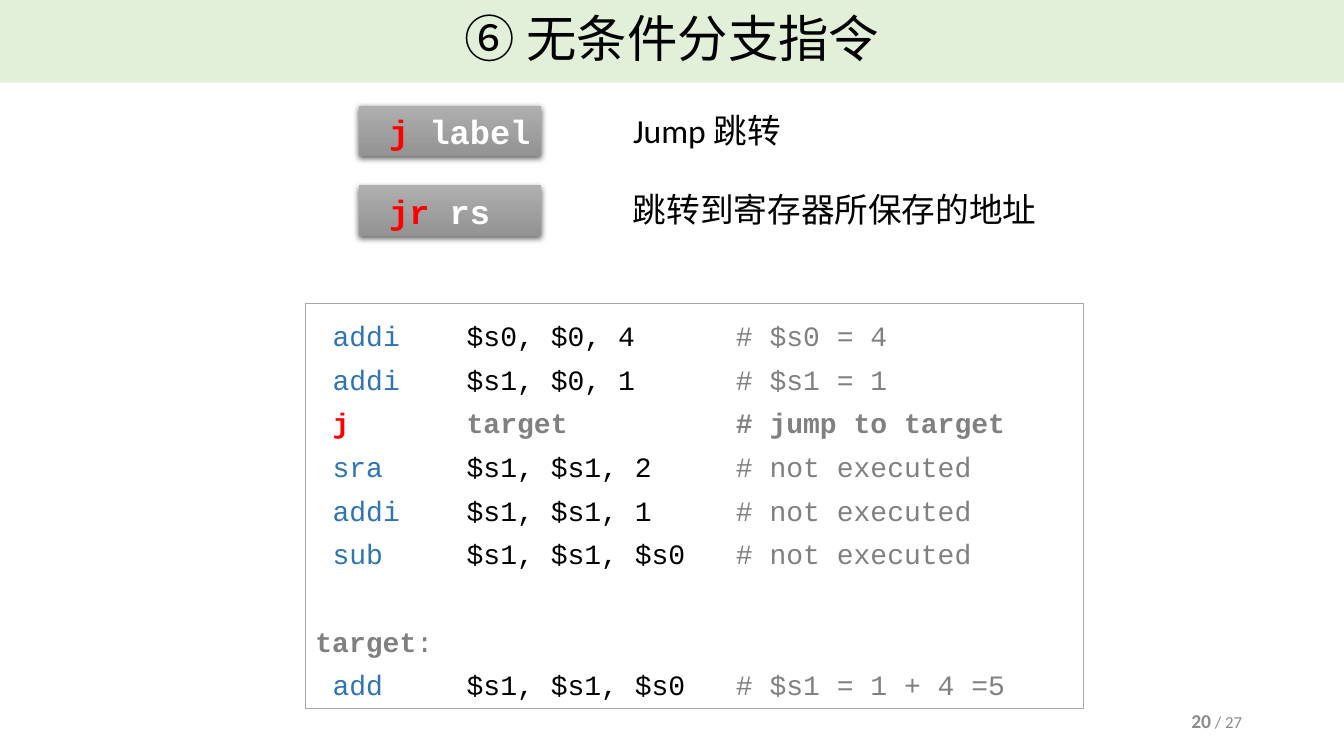
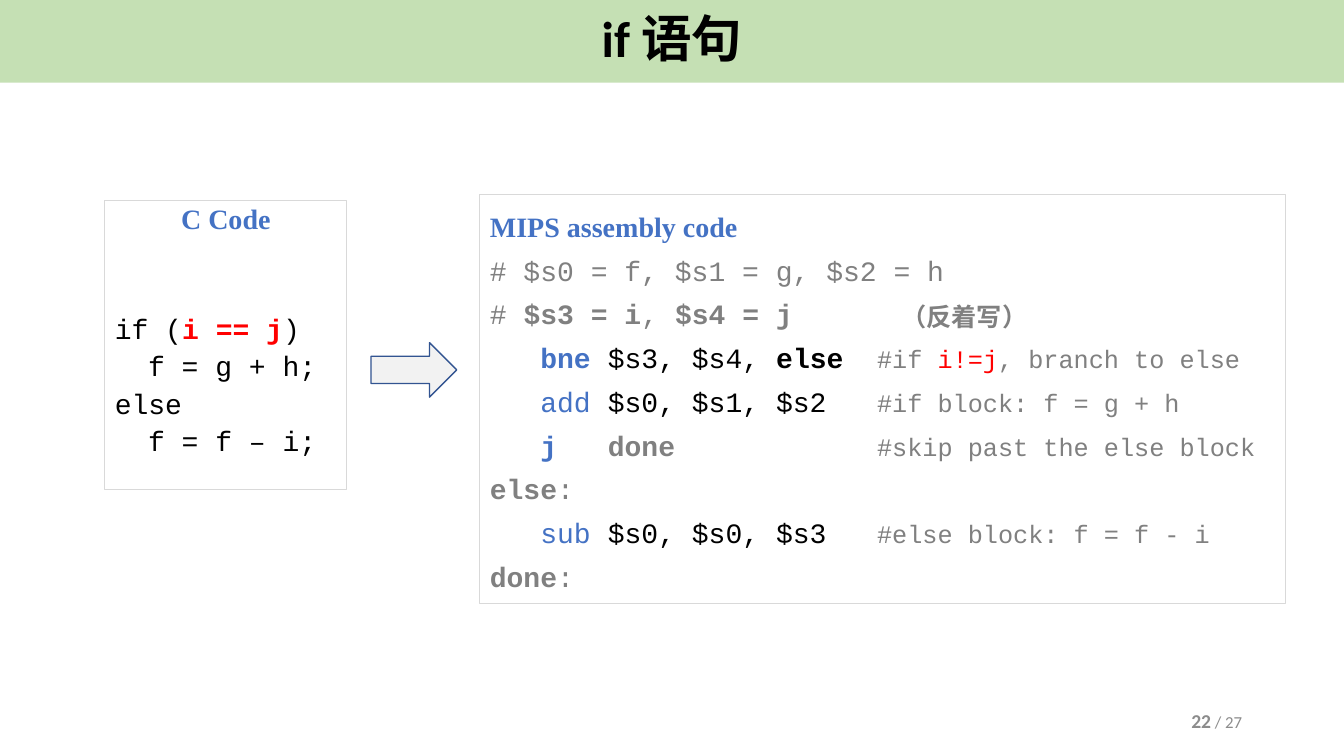
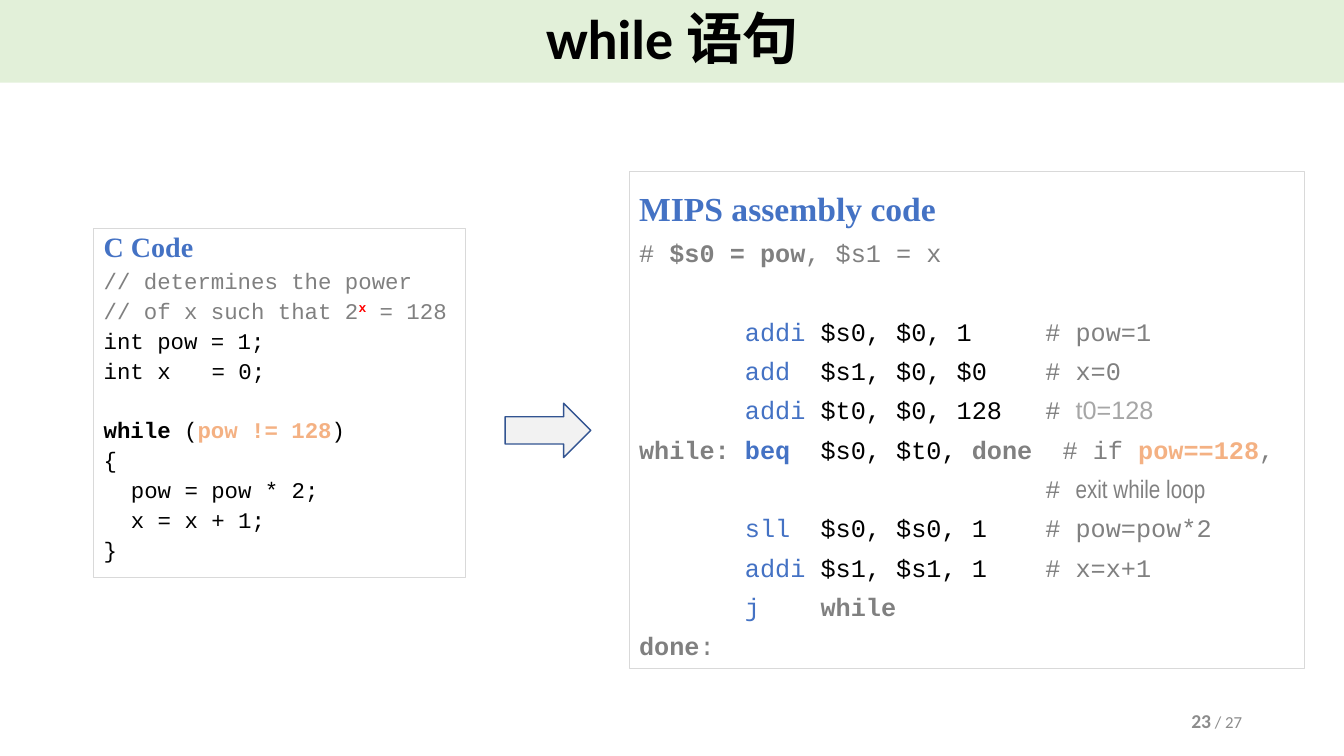
import dataclasses

import pptx
import pptx.dml.color
import pptx.enum.shapes
import pptx.enum.text
import pptx.oxml
import pptx.oxml.ns
import pptx.util
from pptx.util import Inches, Pt

RGBColor = pptx.dml.color.RGBColor
Align = pptx.enum.text.PP_ALIGN
Anchor = pptx.enum.text.MSO_ANCHOR
Shape = pptx.enum.shapes.MSO_SHAPE

BLACK = RGBColor(0, 0, 0)
WHITE = RGBColor(255, 255, 255)
RED = RGBColor(255, 0, 0)
BLUE = RGBColor(0x44, 0x72, 0xC4)
DEEP_BLUE = RGBColor(0x2E, 0x75, 0xB6)
ORANGE = RGBColor(0xF4, 0xB1, 0x83)
GRAY = RGBColor(0x80, 0x80, 0x80)
SILVER = RGBColor(0xA6, 0xA6, 0xA6)
FOOTER_GRAY = RGBColor(0x8C, 0x8C, 0x8C)
FRAME_GRAY = RGBColor(0xD9, 0xD9, 0xD9)
PALE_GREEN = RGBColor(0xE2, 0xF0, 0xD9)
GREEN = RGBColor(0xC5, 0xE0, 0xB4)
ARROW_FILL = RGBColor(0xF2, 0xF2, 0xF2)
ARROW_LINE = RGBColor(0x32, 0x54, 0x91)
BUTTON_TOP = RGBColor(0xAF, 0xAF, 0xAF)
BUTTON_BOTTOM = RGBColor(0x93, 0x93, 0x93)

SANS, MONO, SERIF = "Calibri", "Courier New", "Times New Roman"
PAGE_COUNT = 27


@dataclasses.dataclass(frozen=True)
class Ink:
    """Look of a span; without a size it takes that of its box."""
    color: RGBColor
    bold: bool = False
    size: float = 0
    font: str = MONO
    raised: bool = False


CODE, CODE_BOLD = Ink(BLACK), Ink(BLACK, True)
NOTE, LABEL = Ink(GRAY), Ink(GRAY, True)
SMALL_NOTE = Ink(GRAY, size=18)
OP, OP_BOLD, DEEP_OP = Ink(BLUE), Ink(BLUE, True), Ink(DEEP_BLUE)
HOT, WARM = Ink(RED, True), Ink(ORANGE, True)
HEADING, BIG_HEADING = Ink(BLUE, True, 20, SERIF), Ink(BLUE, True, 24, SERIF)


def add_spans(para, spans, size):
    for text, ink in spans:
        span = para.add_run()
        span.text = text
        span.font.name = ink.font
        span.font.size = Pt(ink.size or size)
        span.font.bold = ink.bold
        span.font.color.rgb = ink.color
        if ink.raised:
            span.font._element.set("baseline", "30000")


def set_tabs(para, stops):
    tabs = pptx.oxml.parse_xml(f"<a:tabLst {pptx.oxml.ns.nsdecls('a')}/>")
    for stop in stops:
        tab = tabs.makeelement(pptx.oxml.ns.qn("a:tab"),
                               {"pos": str(Inches(stop)), "algn": "l"})
        tabs.append(tab)
    para._p.get_or_add_pPr().append(tabs)


def add_text(page, frame, spans, size, align=Align.LEFT, anchor=Anchor.TOP):
    box = page.shapes.add_textbox(*map(Inches, frame))
    box.text_frame.word_wrap = True
    box.text_frame.vertical_anchor = anchor
    para = box.text_frame.paragraphs[0]
    para.alignment = align
    add_spans(para, spans, size)


def add_page(deck, title, number, band, size=36, bold=True):
    page = deck.slides.add_slide(deck.slide_layouts[5])
    box = page.shapes.title
    box.left, box.top = 0, 0
    box.width, box.height = deck.slide_width, Inches(0.82)
    box.fill.solid()
    box.fill.fore_color.rgb = band
    box.text_frame.auto_size = pptx.enum.text.MSO_AUTO_SIZE.NONE
    box.text_frame.vertical_anchor = Anchor.MIDDLE
    para = box.text_frame.paragraphs[0]
    para.alignment = Align.CENTER
    para.line_spacing = 0.9
    add_spans(para, [(title, Ink(BLACK, bold, size, SANS))], size)
    add_text(page, (9.42, 6.95, 3, 0.4),
             [(str(number), Ink(FOOTER_GRAY, True, 14, SANS)),
              (f" / {PAGE_COUNT}", Ink(FOOTER_GRAY, False, 12, SANS))],
             12, Align.RIGHT, Anchor.MIDDLE)
    return page


def add_code(page, frame, lines, size, tabs, spacing=1.3, before=0, gaps=None,
             edge=FRAME_GRAY):
    """Framed listing; gaps maps a line's index to extra points above it."""
    box = page.shapes.add_textbox(*map(Inches, frame))
    box.line.color.rgb = edge
    box.line.width = Pt(0.75)
    text = box.text_frame
    text.word_wrap = True
    for index, spans in enumerate(lines):
        para = text.add_paragraph() if index else text.paragraphs[0]
        para.line_spacing = spacing
        para.space_before = Pt(before + (gaps or {}).get(index, 0))
        set_tabs(para, tabs)
        add_spans(para, spans, size)
    return box


def add_arrow(page, left, top):
    arrow = page.shapes.add_shape(Shape.RIGHT_ARROW, Inches(left), Inches(top),
                                  Inches(0.85), Inches(0.54))
    arrow.shadow.inherit = False
    arrow.fill.solid()
    arrow.fill.fore_color.rgb = ARROW_FILL
    arrow.line.color.rgb = ARROW_LINE
    arrow.line.width = Pt(1)


def add_button(page, left, top, op, operand):
    button = page.shapes.add_shape(Shape.RECTANGLE, Inches(left), Inches(top),
                                   Inches(1.81), Inches(0.5))
    button.line.fill.background()
    button.fill.gradient()
    button.fill.gradient_angle = 270
    for stop, color in zip(button.fill.gradient_stops, (BUTTON_TOP, BUTTON_BOTTOM)):
        stop.color.rgb = color
    button._element.spPr.append(pptx.oxml.parse_xml(
        f"<a:effectLst {pptx.oxml.ns.nsdecls('a')}>"
        '<a:outerShdw blurRad="57150" dist="19050" dir="5400000" rotWithShape="0">'
        '<a:srgbClr val="000000"><a:alpha val="63000"/></a:srgbClr>'
        "</a:outerShdw></a:effectLst>"))
    text = button.text_frame
    text.margin_left, text.margin_right = Inches(0.3), 0
    text.vertical_anchor = Anchor.TOP
    para = text.paragraphs[0]
    para.alignment = Align.LEFT
    add_spans(para, [(op, HOT), (" " + operand, Ink(WHITE, True))], 24)


def instruction(op, operands, note, op_ink=OP, note_ink=NOTE):
    return [("\t" + op, op_ink), ("\t" + operands, CODE), ("\t" + note, note_ink)]


def build_jump_page(deck):
    page = add_page(deck, "⑥ 无条件分支指令", 20, PALE_GREEN, bold=False)
    forms = [("j", "label", "Jump 跳转", 1.68),
             ("jr", "rs", "跳转到寄存器所保存的地址", 4.24)]
    for row, (op, operand, meaning, width) in enumerate(forms):
        top = 1.05 + 0.79 * row
        add_button(page, 3.56, top, op, operand)
        add_text(page, (6.18, top - 0.01, width, 0.5),
                 [(meaning, Ink(BLACK, font=SANS))], 24)
    lines = [instruction(*parts, op_ink=DEEP_OP) for parts in (
        ("addi", "$s0, $0, 4", "# $s0 = 4"),
        ("addi", "$s1, $0, 1", "# $s1 = 1"),
        ("sra", "$s1, $s1, 2", "# not executed"),
        ("addi", "$s1, $s1, 1", "# not executed"),
        ("sub", "$s1, $s1, $s0", "# not executed"),
        ("add", "$s1, $s1, $s0", "# $s1 = 1 + 4 =5"))]
    lines.insert(2, [("\tj", HOT), ("\ttarget\t# jump to target", LABEL)])
    lines.insert(6, [("target", LABEL), (":", NOTE)])
    add_code(page, (3.03, 3.01, 7.72, 4.02), lines, 20, (0.17, 1.5, 4.17),
             gaps={6: 31.2}, edge=SILVER)


def build_if_page(deck):
    page = add_page(deck, "if 语句", 22, GREEN)
    source = add_code(page, (1.04, 1.99, 2.4, 2.87), [
        [("C Code", HEADING)],
        [("if (", CODE), ("i == j", HOT), (")", CODE)],
        [("\tf = g + h;", CODE)],
        [("else", CODE)],
        [("\tf = f – i;", CODE)],
    ], 20, (0.33,), spacing=0.9, before=5.2, gaps={1: 51.4})
    source.text_frame.paragraphs[0].alignment = Align.CENTER
    add_code(page, (4.76, 1.93, 7.99, 4.06), [
        [("MIPS assembly code", HEADING)],
        [("# $s0 = f, $s1 = g, $s2 = h", NOTE)],
        [("# ", NOTE), ("$s3 = i", LABEL), (", ", NOTE), ("$s4 = j", LABEL)],
        [("\tbne", OP_BOLD), ("\t$s3, $s4, ", CODE), ("else", CODE_BOLD),
         ("\t#if ", SMALL_NOTE), ("i!=j", Ink(RED, size=18)),
         (", branch to else", SMALL_NOTE)],
        instruction("add", "$s0, $s1, $s2", "#if block: f = g + h",
                    note_ink=SMALL_NOTE),
        [("\tj", OP_BOLD), ("\tdone", LABEL),
         ("\t#skip past the else block", SMALL_NOTE)],
        [("else", LABEL), (":", NOTE)],
        instruction("sub", "$s0, $s0, $s3", "#else block: f = f - i",
                    note_ink=SMALL_NOTE),
        [("done", LABEL), (":", NOTE)],
    ], 20, (0.5, 1.17, 3.84))
    add_text(page, (8.84, 2.94, 1.6, 0.4),
             [("（反着写）", Ink(GRAY, True, font=SANS))], 18)
    add_arrow(page, 3.68, 3.4)


def build_while_page(deck):
    page = add_page(deck, "while 语句", 23, PALE_GREEN, size=40)
    add_code(page, (0.93, 2.27, 3.69, 3.46), [
        [("C Code", HEADING)],
        [("// determines the power", NOTE)],
        [("// of x such that 2", NOTE), ("x", Ink(RED, True, raised=True)),
         (" = 128", NOTE)],
        [("int pow = 1;", CODE)],
        [("int x\t= 0;", CODE)],
        [("while", CODE_BOLD), (" (", CODE), ("pow != 128", WARM), (")", CODE)],
        [("{", CODE)],
        [("\tpow = pow * 2;", CODE)],
        [("\tx = x + 1;", CODE)],
        [("}", CODE)],
    ], 16, (0.27, 1.07), spacing=0.9, before=4.2, gaps={5: 20.5})
    add_code(page, (6.24, 1.7, 6.7, 4.93), [
        [("MIPS assembly code", BIG_HEADING)],
        [("# ", NOTE), ("$s0 = pow", LABEL), (", $s1 = x", NOTE)],
        instruction("addi", "$s0, $0, 1", "# pow=1"),
        instruction("add", "$s1, $0, $0", "# x=0"),
        instruction("addi", "$t0, $0, 128", "# ")
        + [("t0=128", Ink(SILVER, font="Arial"))],
        [("while:", LABEL), ("\tbeq", OP_BOLD), ("\t$s0, $t0, ", CODE),
         ("done  ", LABEL), ("# if ", NOTE), ("pow==128", WARM), (",", NOTE)],
        [("\t\t\t# ", NOTE), ("exit while loop", Ink(GRAY, font="Arial Narrow"))],
        instruction("sll", "$s0, $s0, 1", "# pow=pow*2"),
        instruction("addi", "$s1, $s1, 1", "# x=x+1"),
        [("\tj", OP), ("\twhile", LABEL)],
        [("done", LABEL), (":", NOTE)],
    ], 18, (1.05, 1.8, 4.03), gaps={2: 28})
    add_arrow(page, 5.01, 4)


def main():
    deck = pptx.Presentation()
    deck.slide_width, deck.slide_height = Inches(13.33), Inches(7.5)
    build_jump_page(deck)
    build_if_page(deck)
    build_while_page(deck)
    deck.save("out.pptx")


if __name__ == "__main__":
    main()
